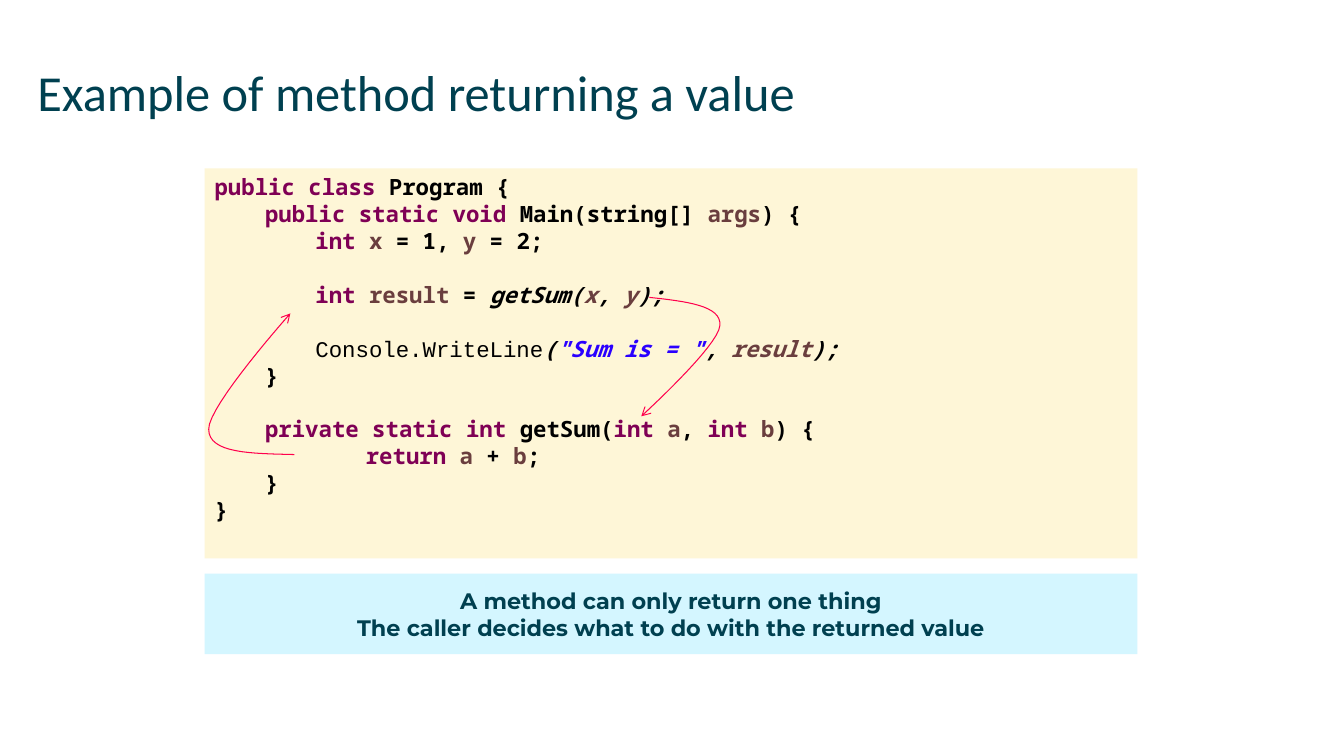
from lxml import etree
from pptx import Presentation
from pptx.dml.color import RGBColor
from pptx.enum import shapes as kinds, text as txt
from pptx.oxml import ns
from pptx.util import Inches, Pt

TEAL = RGBColor(0x00, 0x40, 0x50)
CREAM = RGBColor(0xFE, 0xF6, 0xD7)
SKY = RGBColor(0xD4, 0xF6, 0xFF)
RED = RGBColor(0xFF, 0x00, 0x4C)
PURPLE = RGBColor(0x7F, 0x00, 0x55)
BROWN = RGBColor(0x6A, 0x3E, 0x3E)
BLUE = RGBColor(0x2A, 0x00, 0xFF)
BLACK = RGBColor(0x00, 0x00, 0x00)

PLAIN = dict(font="Noto Sans Mono", size=16, color=BLACK, bold=True)
KEYWORD = PLAIN | dict(color=PURPLE)
VARIABLE = PLAIN | dict(color=BROWN)
CALL = PLAIN | dict(italic=True)
ARGUMENT = VARIABLE | dict(italic=True)
QUOTED = CALL | dict(color=BLUE)
LIBRARY = PLAIN | dict(font="Courier New", bold=False)
HEADING = dict(font="Calibri", size=36, color=TEAL)
REMARK = dict(font="Montserrat", size=16, color=TEAL, bold=True)

TITLE = "Example of method returning a value"
CODE = [
    (0, False, [("public class", KEYWORD), (" Program {", PLAIN)]),
    (1, False, [("public static void", KEYWORD), (" Main(string[] ", PLAIN),
                ("args", VARIABLE), (") {", PLAIN)]),
    (2, False, [("int ", KEYWORD), ("x", VARIABLE), (" = 1, ", PLAIN),
                ("y", VARIABLE), (" = 2;", PLAIN)]),
    (2, True, [("int ", KEYWORD), ("result", VARIABLE), (" = ", PLAIN),
               ("getSum(", CALL), ("x", ARGUMENT), (", ", CALL),
               ("y", ARGUMENT), (");", CALL)]),
    (2, True, [("Console.WriteLine", LIBRARY), ("(", CALL),
               ('"Sum is = "', QUOTED), (", ", CALL),
               ("result", ARGUMENT), (");", CALL)]),
    (1, False, [("}", PLAIN)]),
    (1, True, [("private static int ", KEYWORD), ("getSum(", PLAIN),
               ("int ", KEYWORD), ("a", VARIABLE), (", ", PLAIN),
               ("int ", KEYWORD), ("b", VARIABLE), (") {", PLAIN)]),
    (3, False, [("return ", KEYWORD), ("a", VARIABLE), (" + ", PLAIN),
                ("b", VARIABLE), (";", PLAIN)]),
    (1, False, [("}", PLAIN)]),
    (0, False, [("}", PLAIN)]),
]
REMARKS = ["A method can only return one thing",
           "The caller decides what to do with the returned value"]
FLOWS = [
    [[(6.44, 2.95), (6.8, 2.99), (7.16, 3.03), (7.14, 3.23)],
     [(7.14, 3.23), (7.13, 3.43), (6.36, 4.13), (6.36, 4.13)]],
    [[(2.92, 4.51), (2.5, 4.5), (2.07, 4.5), (2.07, 4.26)],
     [(2.07, 4.26), (2.06, 4.03), (2.88, 3.11), (2.88, 3.11)]],
]
PANEL_LEFT, PANEL_WIDTH = 2.03, 9.25
INDENT = 0.5
CODE_LINE = 19.3
CURVE_STEPS = 16


def write(paragraph, content, font, size, color, bold=False, italic=False):
    run = paragraph.add_run()
    run.text = content
    run.font.name = font
    run.font.size = Pt(size)
    run.font.color.rgb = color
    run.font.bold = bold
    run.font.italic = italic


def add_panel(slide, top, height, fill, anchor):
    panel = slide.shapes.add_shape(
        kinds.MSO_SHAPE.RECTANGLE, Inches(PANEL_LEFT), Inches(top),
        Inches(PANEL_WIDTH), Inches(height))
    panel.shadow.inherit = False
    panel.fill.solid()
    panel.fill.fore_color.rgb = fill
    panel.line.fill.background()
    panel.text_frame.word_wrap = True
    panel.text_frame.vertical_anchor = anchor
    return panel.text_frame


def next_paragraph(frame, index, align):
    paragraph = frame.add_paragraph() if index else frame.paragraphs[0]
    paragraph.alignment = align
    return paragraph


def curve_point(controls, t):
    weights = ((1 - t) ** 3, 3 * t * (1 - t) ** 2, 3 * t * t * (1 - t), t ** 3)
    return tuple(Inches(sum(w * c[axis] for w, c in zip(weights, controls)))
                 for axis in (0, 1))


def add_flow(slide, curves):
    points = [curve_point(curve, step / CURVE_STEPS)
              for curve in curves for step in range(1, CURVE_STEPS + 1)]
    start = curve_point(curves[0], 0)
    builder = slide.shapes.build_freeform(*start)
    builder.add_line_segments(points, close=False)
    flow = builder.convert_to_shape()
    flow.shadow.inherit = False
    flow.fill.background()
    flow.line.color.rgb = RED
    flow.line.width = Pt(0.75)
    outline = flow.element.spPr.find(ns.qn("a:ln"))
    etree.SubElement(outline, ns.qn("a:round"))
    etree.SubElement(outline, ns.qn("a:tailEnd"), type="arrow")


def main():
    deck = Presentation()
    deck.slide_width, deck.slide_height = Inches(13.33), Inches(7.5)
    slide = deck.slides.add_slide(deck.slide_layouts[5])

    title = slide.shapes.title
    title.left, title.top = Inches(0.37), Inches(0.61)
    title.width, title.height = Inches(12.6), Inches(0.88)
    heading = title.text_frame
    heading.margin_left = heading.margin_right = 0
    heading.margin_top = heading.margin_bottom = 0
    heading.vertical_anchor = txt.MSO_ANCHOR.TOP
    heading.paragraphs[0].alignment = txt.PP_ALIGN.LEFT
    write(heading.paragraphs[0], TITLE, **HEADING)

    listing = add_panel(slide, 1.67, 3.87, CREAM, txt.MSO_ANCHOR.TOP)
    for index, (depth, gap, pieces) in enumerate(CODE):
        line = next_paragraph(listing, index, txt.PP_ALIGN.LEFT)
        line.level = depth
        line._p.get_or_add_pPr().set("marL", str(Inches(INDENT * depth)))
        line.space_before = Pt(CODE_LINE if gap else 0)
        for content, style in pieces:
            write(line, content, **style)

    remarks = add_panel(slide, 5.69, 0.8, SKY, txt.MSO_ANCHOR.MIDDLE)
    for index, remark in enumerate(REMARKS):
        write(next_paragraph(remarks, index, txt.PP_ALIGN.CENTER),
              remark, **REMARK)

    for curves in FLOWS:
        add_flow(slide, curves)
    deck.save("out.pptx")


if __name__ == "__main__":
    main()
